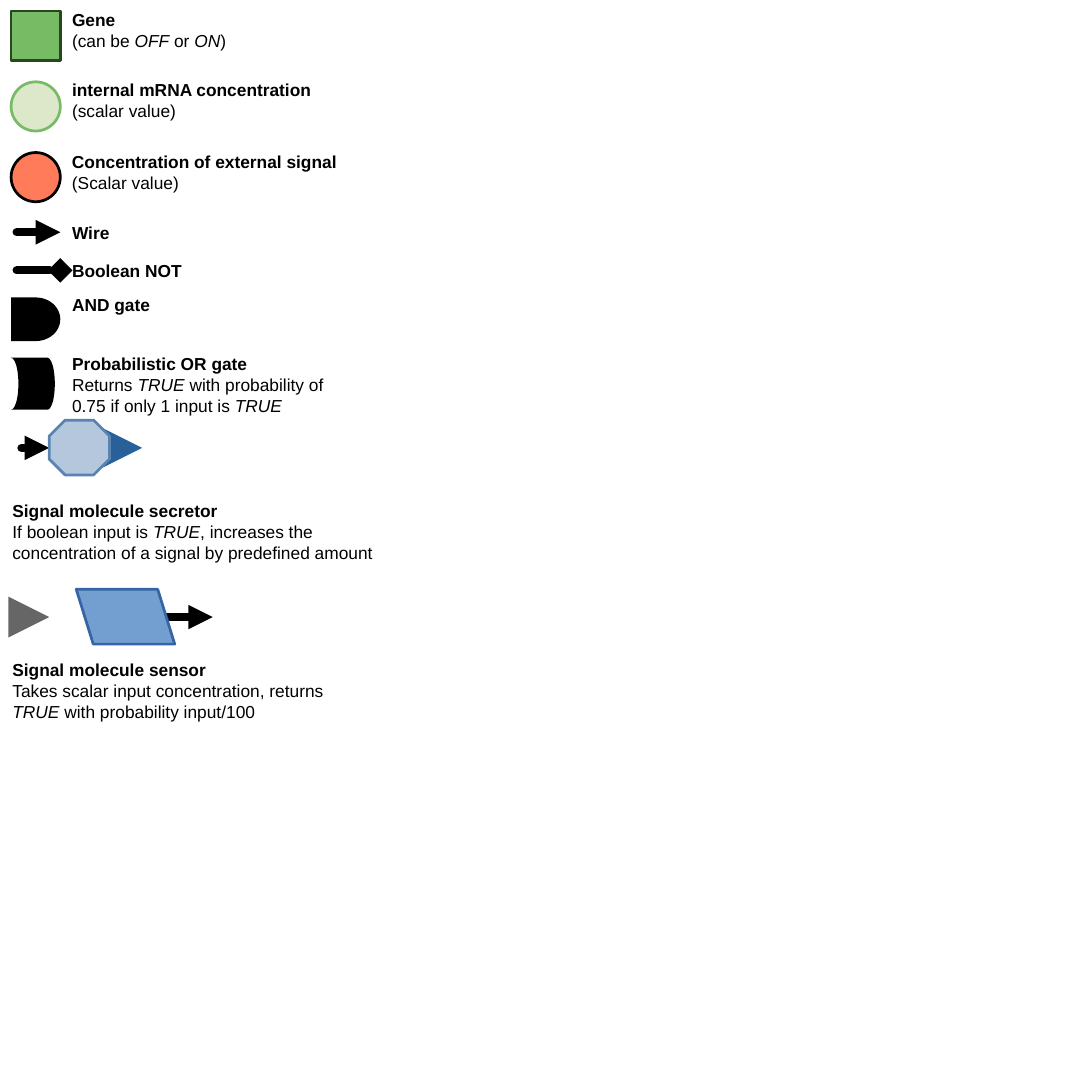
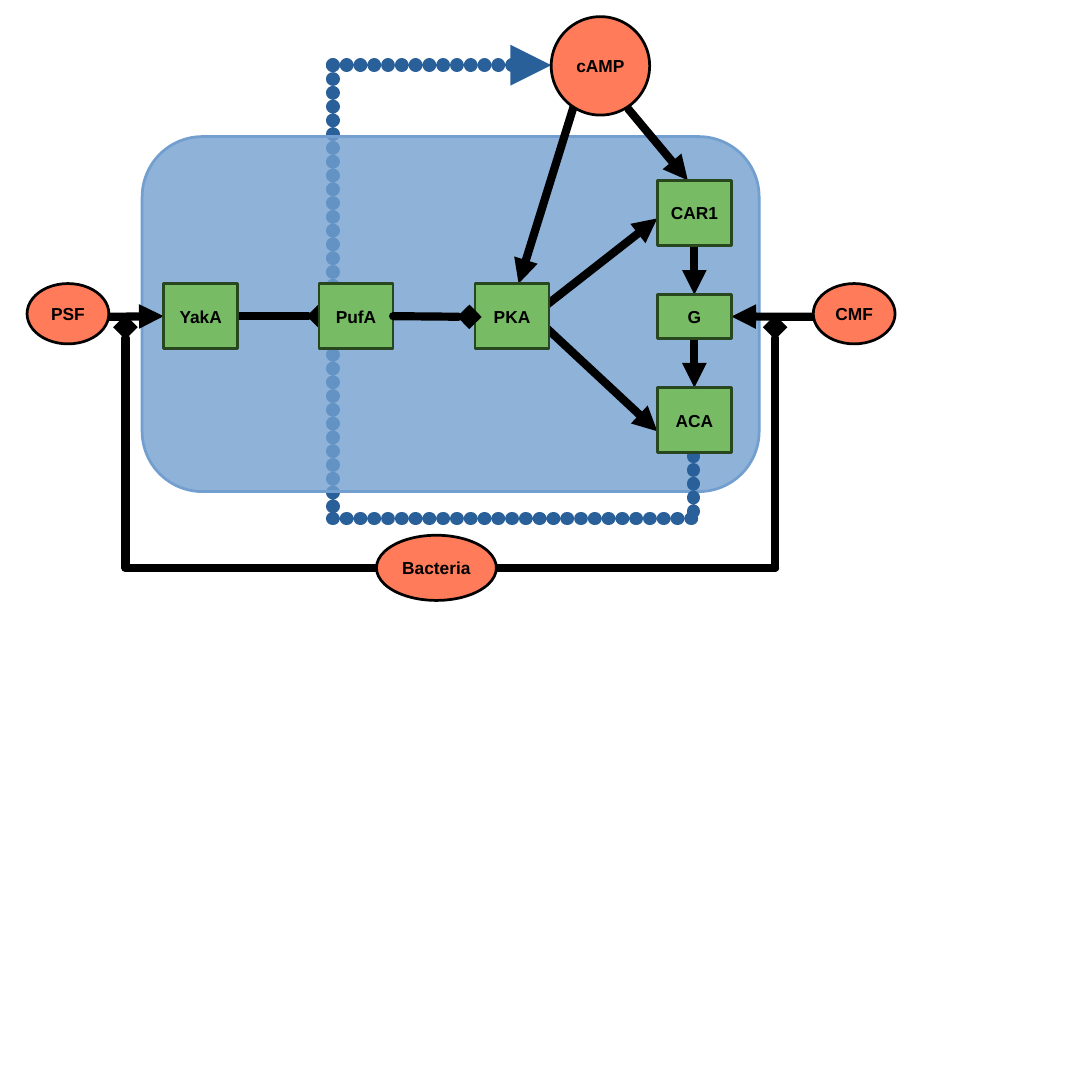
from lxml.etree import SubElement
from pptx import Presentation
from pptx.dml.color import RGBColor
from pptx.enum.shapes import MSO_CONNECTOR, MSO_SHAPE
from pptx.enum.text import MSO_ANCHOR, PP_ALIGN
from pptx.oxml.ns import qn
from pptx.util import Inches, Pt

COLORS = {
    "black": "000000", "gene": "77BC65", "edge": "28471F", "mrna": "DDE8CB",
    "signal": "FF7B59", "blue": "2A6099", "gray": "666666", "cell": "729FCF",
    "sensor": "3465A4", "pale": "B4C7DC", "steel": "5983B0",
}
FONT, SIZE = "Arial", 18
TOP, LEFT, BOTTOM, RIGHT = range(4)


def color(name):
    return RGBColor.from_string(COLORS[name])


def add_run(para, text, bold=False, italic=False):
    run = para.add_run()
    run.text = text
    font = run.font
    font.name, font.size = FONT, Pt(SIZE)
    font.bold, font.italic = bold, italic
    font.color.rgb = color("black")


def add_form(slide, kind, box, fill, edge=None, adjust=None):
    form = slide.shapes.add_shape(kind, *map(Inches, box))
    form.shadow.inherit = False
    form.fill.solid()
    form.fill.fore_color.rgb = color(fill)
    if edge:
        form.line.color.rgb = color(edge)
        form.line.width = Pt(2.83)
    else:
        form.line.fill.background()
    if adjust is not None:
        form.adjustments[0] = adjust
    return form


def add_node(slide, kind, box, fill, edge, name):
    node = add_form(slide, kind, box, fill, edge)
    frame = node.text_frame
    frame.word_wrap = False
    frame.vertical_anchor = MSO_ANCHOR.MIDDLE
    frame.margin_left = frame.margin_right = Inches(0.12)
    frame.margin_top = frame.margin_bottom = Inches(0.07)
    para = frame.paragraphs[0]
    para.alignment = PP_ALIGN.CENTER
    add_run(para, name, bold=True)
    return node


def add_gene(slide, name, left, top, height=0.94):
    box = (left, top, 1.07, height)
    return add_node(slide, MSO_SHAPE.RECTANGLE, box, "gene", "edge", name)


def add_signal(slide, name, *box):
    return add_node(slide, MSO_SHAPE.OVAL, box, "signal", "black", name)


def add_wire(slide, start, end, head=None, tint="black", width=8.5, dots=False):
    """Draw a round-capped line, optionally dotted, with a head at its end."""
    wire = slide.shapes.add_connector(
        MSO_CONNECTOR.STRAIGHT, *map(Inches, (*start, *end)))
    wire.line.color.rgb = color(tint)
    wire.line.width = Pt(width)
    props = wire.line._get_or_add_ln()
    props.set("cap", "rnd")
    if dots:
        dash = SubElement(props, qn("a:custDash"))
        SubElement(dash, qn("a:ds"), d="100000", sp="1000")
    SubElement(props, qn("a:round"))
    if head:
        SubElement(props, qn("a:tailEnd"), type=head, w="med", len="med")
    SubElement(wire._element.spPr, qn("a:effectLst"))
    return wire


def add_flow(slide, start, end, head=None, tint="blue"):
    """Draw the thick dotted path of a signal molecule."""
    return add_wire(slide, start, end, head, tint, 14.17, dots=True)


def add_label(slide, box, title, body=""):
    """Write a bold title and a body whose starred words are italic."""
    label = slide.shapes.add_textbox(*map(Inches, box))
    frame = label.text_frame
    frame.word_wrap = True
    add_run(frame.paragraphs[0], title, bold=True)
    if body:
        para = frame.add_paragraph()
        for i, part in enumerate(body.split("*")):
            if part:
                add_run(para, part, italic=i % 2 == 1)


def build_legend(slide):
    disks = [
        (MSO_SHAPE.RECTANGLE, "gene", "edge"),
        (MSO_SHAPE.OVAL, "mrna", "gene"),
        (MSO_SHAPE.OVAL, "signal", "black"),
    ]
    for i, (kind, fill, edge) in enumerate(disks):
        add_form(slide, kind, (0.16, 0.16 + 1.02 * i, 0.71, 0.71), fill, edge)

    add_form(slide, MSO_SHAPE.FLOWCHART_DELAY, (0.16, 4.29, 0.71, 0.63), "black")
    gate = add_form(slide, MSO_SHAPE.FLOWCHART_STORED_DATA,
                    (0.16, 5.16, 0.63, 0.75), "black")
    gate.rotation = 180

    add_wire(slide, (0.24, 3.35), (0.87, 3.35), "triangle")
    add_wire(slide, (0.24, 3.9), (0.87, 3.9), "diamond")

    add_wire(slide, (0.31, 6.46), (0.71, 6.46), "triangle")
    add_flow(slide, (1.26, 6.46), (2.05, 6.46), "triangle")
    add_form(slide, MSO_SHAPE.OCTAGON, (0.71, 6.06, 0.87, 0.79),
             "pale", "steel", 0.29)

    add_flow(slide, (0.31, 8.9), (0.71, 8.9), "triangle", "gray")
    add_wire(slide, (2.28, 8.9), (3.07, 8.9), "triangle")
    sensor = add_form(slide, MSO_SHAPE.PARALLELOGRAM, (1.1, 8.5, 1.42, 0.79),
                      "cell", "sensor", 0.31)
    sensor._element.spPr.xfrm.set("flipH", "1")

    labels = [
        ((0.94, 0.08, 2.52, 0.71), "Gene", "(can be *OFF* or *ON*)"),
        ((0.94, 1.1, 3.78, 0.94), "internal mRNA concentration",
         "(scalar value)"),
        ((0.94, 2.13, 4.33, 0.71), "Concentration of external signal",
         "(Scalar value)"),
        ((0.94, 3.15, 4.02, 0.39), "Wire"),
        ((0.94, 3.7, 4.02, 0.47), "Boolean NOT"),
        ((0.94, 4.19, 4.02, 0.94), "AND gate"),
        ((0.94, 5.05, 4.02, 0.94), "Probabilistic OR gate",
         "Returns *TRUE* with probability of 0.75 if only 1 input is *TRUE*"),
        ((0.08, 7.17, 5.43, 1.22), "Signal molecule secretor",
         "If boolean input is *TRUE*, increases the concentration of a signal "
         "by predefined amount"),
        ((0.08, 9.46, 4.72, 0.94), "Signal molecule sensor",
         "Takes scalar input concentration, returns *TRUE* with probability "
         "input/100"),
    ]
    for label in labels:
        add_label(slide, *label)


def build_network(slide):
    add_flow(slide, (4.8, 0.94), (4.8, 7.48))
    cell = add_form(slide, MSO_SHAPE.ROUNDED_RECTANGLE,
                    (2.05, 1.97, 8.9, 5.12), "cell", "cell", 0.17)
    tint = cell._element.spPr.find(qn("a:solidFill"))[0]
    SubElement(tint, qn("a:alpha"), val="80000")

    add_flow(slide, (4.8, 0.94), (7.95, 0.94), "triangle")
    add_flow(slide, (10, 6.38), (10, 7.48))
    add_flow(slide, (4.8, 7.48), (10, 7.48))

    row = 4.57
    feed = add_wire(slide, (1.54, row), (2.36, row), "triangle")
    block = add_wire(slide, (3.43, row), (4.6, row), "diamond")
    drive = add_wire(slide, (11.73, row), (10.55, row), "triangle")
    down = add_wire(slide, (10, 3.54), (10, 4.25), "triangle")
    lower = add_wire(slide, (10, 4.88), (10, 5.59), "triangle")
    for start, end in [
        ((9.06, 1.57), (9.92, 2.6)),
        ((8.27, 1.55), (7.48, 4.09)),
        ((7.87, 4.41), (9.48, 3.15)),
        ((7.87, 4.72), (9.48, 6.22)),
    ]:
        add_wire(slide, start, end, "triangle")
    for side, inner in [(1.81, 5.51), (11.18, 7.09)]:
        add_wire(slide, (inner, 8.19), (side, 8.19))
        add_wire(slide, (side, 8.19), (side, 4.72), "diamond")

    yaka = add_gene(slide, "YakA", 2.36, 4.09)
    pufa = add_gene(slide, "PufA", 4.6, 4.09)
    add_gene(slide, "PKA", 6.85, 4.09)
    car = add_gene(slide, "CAR1", 9.48, 2.6)
    mid = add_gene(slide, "G", 9.48, 4.25, 0.63)
    aca = add_gene(slide, "ACA", 9.48, 5.59)
    add_signal(slide, "PSF", 0.39, 4.09, 1.18, 0.87)
    add_signal(slide, "CMF", 11.73, 4.09, 1.18, 0.87)
    add_signal(slide, "Bacteria", 5.43, 7.72, 1.73, 0.94)
    add_signal(slide, "cAMP", 7.95, 0.24, 1.42, 1.42)
    halt = add_wire(slide, (5.67, row), (6.77, row), "diamond")

    for wire, gene, side in [
        (block, yaka, RIGHT), (halt, pufa, RIGHT),
        (down, car, BOTTOM), (lower, mid, BOTTOM),
    ]:
        wire.begin_connect(gene, side)
    for wire, gene, side in [
        (feed, yaka, LEFT), (block, pufa, LEFT), (drive, mid, RIGHT),
        (down, mid, TOP), (lower, aca, TOP),
    ]:
        wire.end_connect(gene, side)


def main():
    deck = Presentation()
    deck.slide_width = deck.slide_height = Inches(15.75)
    blank = deck.slide_layouts[6]
    for build in (build_legend, build_network):
        build(deck.slides.add_slide(blank))
    deck.save("out.pptx")


if __name__ == "__main__":
    main()
